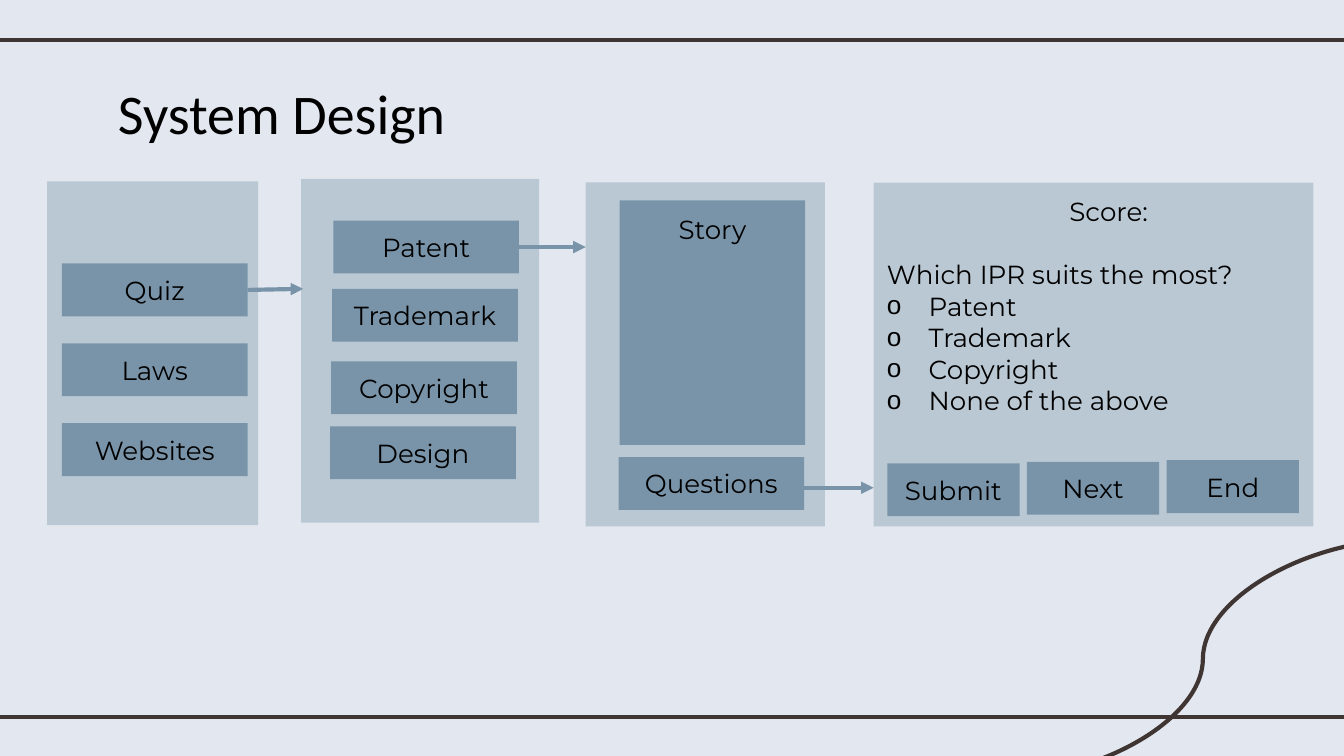
from dataclasses import dataclass

from lxml import etree
from pptx import Presentation
from pptx.dml.color import RGBColor
from pptx.enum.shapes import MSO_CONNECTOR, MSO_SHAPE
from pptx.enum.text import MSO_ANCHOR, MSO_AUTO_SIZE, PP_ALIGN
from pptx.oxml.ns import qn
from pptx.util import Cm, Pt

RECT = MSO_SHAPE.RECTANGLE
STRAIGHT, CURVE = MSO_CONNECTOR.STRAIGHT, MSO_CONNECTOR.CURVE
TOP, MIDDLE = MSO_ANCHOR.TOP, MSO_ANCHOR.MIDDLE
LEFT, CENTER = PP_ALIGN.LEFT, PP_ALIGN.CENTER
NO_AUTOFIT = MSO_AUTO_SIZE.NONE
RIGHT_SIDE = 3


@dataclass(frozen=True)
class Theme:
    background: str = "E3E7F0"
    rule: str = "3F3533"
    panel: str = "BAC8D3"
    button: str = "7994A9"
    text: str = "000000"
    title_font: str = "Calibri"
    body_font: str = "Montserrat"
    title_size: int = 30
    body_size: int = 14
    line_width: float = 2.25


def rgb(value):
    return RGBColor.from_string(value)


def apply(target, values):
    for name, value in values.items():
        setattr(target, name, value)


class SlideBuilder:
    """Draws themed elements on the current slide, with lengths in centimetres."""

    def __init__(self, slide, theme):
        self.s, self.theme = slide, theme
        fill = slide.background.fill
        fill.solid()
        fill.fore_color.rgb = rgb(theme.background)

    def place(self, sp, box):
        apply(sp, dict(zip(("left", "top", "width", "height"), map(Cm, box))))

    def frame(self, sp, anchor):
        tf = sp.text_frame
        apply(tf, {"word_wrap": True, "auto_size": NO_AUTOFIT,
                   "vertical_anchor": anchor})
        sides = ("left", "top", "right", "bottom")
        apply(tf, {f"margin_{side}": Cm(0.25) for side in sides})
        return tf

    def add_text(self, p, text, font, size, align=LEFT, before=0):
        apply(p, {"alignment": align, "space_before": Pt(before),
                  "space_after": Pt(0), "line_spacing": 1.0})
        r = p.add_run()
        r.text = text
        apply(r.font, {"name": font, "size": Pt(size), "bold": False})
        r.font.color.rgb = rgb(self.theme.text)

    def paint(self, sp, color):
        sp.fill.solid()
        sp.fill.fore_color.rgb = rgb(color)
        sp.line.fill.background()

    def title(self, text, box):
        sp = self.s.shapes.title
        self.place(sp, box)
        p = self.frame(sp, TOP).paragraphs[0]
        self.add_text(p, text, self.theme.title_font, self.theme.title_size)

    def rect(self, box, color):
        sp = self.s.shapes.add_shape(RECT, *map(Cm, box))
        sp.shadow.inherit = False
        self.paint(sp, color)
        return sp

    def panel(self, box):
        return self.rect(box, self.theme.panel)

    def button(self, text, x, y, w=3.51, h=1.0, anchor=MIDDLE):
        sp = self.rect((x, y, w, h), self.theme.button)
        p = self.frame(sp, anchor).paragraphs[0]
        self.add_text(p, text, self.theme.body_font, self.theme.body_size, CENTER)
        return sp

    def question(self, heading, prompt, options, box):
        sp = self.s.placeholders[1]
        self.place(sp, box)
        self.paint(sp, self.theme.panel)
        tf = self.frame(sp, TOP)
        rows = [(heading, 3.45, 0, 0), (prompt, 0, 0, 17)]
        rows += [(option, 0.79, -0.79, 0) for option in options]
        for i, (text, margin, indent, before) in enumerate(rows):
            p = tf.paragraphs[0] if i == 0 else tf.add_paragraph()
            self.add_text(p, text, self.theme.body_font, self.theme.body_size,
                          before=before)
            pPr = p._p.get_or_add_pPr()
            pPr.set("marL", str(Cm(margin)))
            pPr.set("indent", str(Cm(indent)))
            if indent:
                clr = etree.SubElement(pPr, qn("a:buClr"))
                etree.SubElement(clr, qn("a:srgbClr"), val=self.theme.text)
                etree.SubElement(pPr, qn("a:buChar"), char="o")
            else:
                etree.SubElement(pPr, qn("a:buNone"))

    def line(self, start, end, color, kind=STRAIGHT):
        sp = self.s.shapes.add_connector(kind, *map(Cm, start + end))
        sp.line.color.rgb = rgb(color)
        sp.line.width = Pt(self.theme.line_width)
        etree.SubElement(sp._element.spPr, qn("a:effectLst"))
        return sp

    def arrow(self, start, end, source=None):
        sp = self.line(start, end, self.theme.button)
        ln = sp._element.spPr.find(qn("a:ln"))
        etree.SubElement(ln, qn("a:tailEnd"), type="triangle")
        if source is not None:
            sp.begin_connect(source, RIGHT_SIDE)


def main():
    theme = Theme()
    prs = Presentation()
    apply(prs, {"slide_width": Cm(25.4), "slide_height": Cm(14.29)})
    b = SlideBuilder(prs.slides.add_slide(prs.slide_layouts[1]), theme)

    for y in (0.75, 13.55):
        b.line((-0.2, y), (25.6, y), theme.rule)
    b.line((26.65, 10.19), (18.82, 14.72), theme.rule, CURVE)
    b.title("System Design", (1.98, 1.24, 12.5, 1.6))

    b.panel((0.89, 3.43, 3.99, 6.5))
    menu = [b.button(text, 1.17, 4.98 + 1.51 * i)
            for i, text in enumerate(("Quiz", "Laws", "Websites"))]

    b.panel((5.69, 3.38, 4.5, 6.5))
    topics = [b.button(*topic) for topic in (
        ("Patent", 6.3, 4.17), ("Trademark", 6.28, 5.46),
        ("Copyright", 6.26, 6.83), ("Design", 6.24, 8.06))]

    b.panel((11.07, 3.45, 4.52, 6.5))
    b.button("Story", 11.71, 3.79, h=4.62, anchor=TOP)
    b.button("Questions", 11.69, 8.64)

    b.question("Score:", "Which IPR suits the most?",
               ("Patent", "Trademark", "Copyright", "None of the above"),
               (16.51, 3.45, 8.31, 6.5))
    for i, text in enumerate(("Submit", "Next", "End")):
        b.button(text, 16.77 + 2.64 * i, 8.76 - 0.03 * i, w=2.5)

    b.arrow((4.68, 5.48), (5.73, 5.46), menu[0])
    b.arrow((9.81, 4.67), (11.07, 4.67), topics[0])
    b.arrow((15.11, 9.22), (16.51, 9.22))
    prs.save("out.pptx")


if __name__ == "__main__":
    main()
